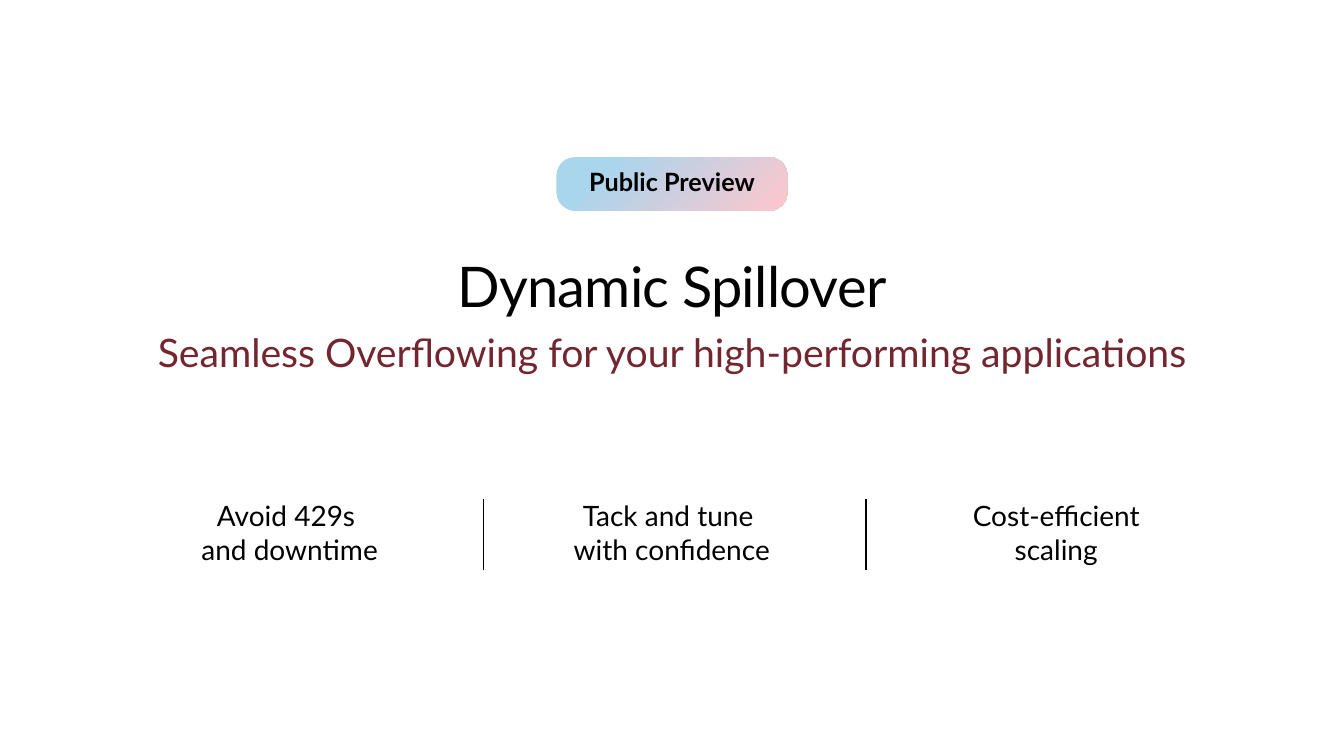
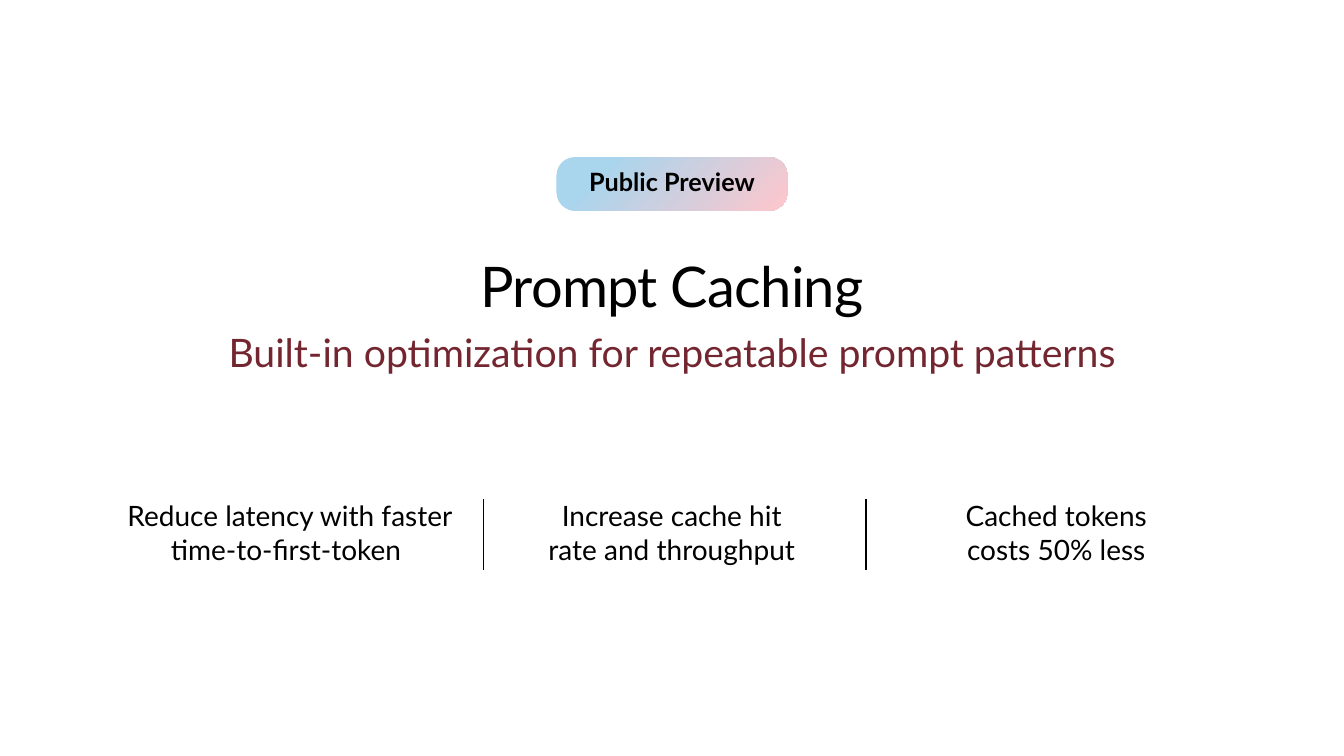
from lxml import etree
from pptx import Presentation
from pptx.dml.color import RGBColor
from pptx.enum.shapes import MSO_CONNECTOR, MSO_SHAPE
from pptx.enum.text import MSO_ANCHOR as Anchor, PP_ALIGN as Align
from pptx.oxml import parse_xml
from pptx.oxml.ns import nsdecls, qn
from pptx.util import Cm, Pt

COLORS = {
    "text": "000000",
    "pink": "FFC6CC",
    "sky": "A9D5ED",
    "wine": "73262F",
    "navy": "2A446F",
}
FONT = "Lato"
SLIDE_WIDTH, SLIDE_HEIGHT = 33.87, 19.05
HEADING_LEFT, HEADING_WIDTH = 1.63, 30.61
BENEFIT_CENTERS = (7.3, 16.93, 26.62)
BENEFIT_TOP, BENEFIT_HEIGHT = 12.57, 1.7
DIVIDER_POSITIONS = (12.19, 21.82)
DIVIDER_HEIGHT = 1.8

STYLES = {
    "title": {"size": Pt(40), "bold": False},
    "subtitle": {"size": Pt(28), "bold": False},
    "badge": {"size": Pt(18), "bold": True},
    "benefit": {"size": Pt(20), "bold": False},
}

SLIDES = [
    {
        "title": "Dynamic Spillover",
        "subtitle": "Seamless Overflowing for your high-performing applications",
        "benefits": [
            ("Avoid 429s \vand downtime", 6.1),
            ("Tack and tune \vwith confidence", 6.38),
            ("Cost-efficient scaling", 6.2),
        ],
    },
    {
        "title": "Prompt Caching",
        "subtitle": "Built-in optimization for repeatable prompt patterns",
        "benefits": [
            ("Reduce latency with faster time-to-first-token ", 8.23),
            ("Increase cache hit rate and throughput", 6.83),
            ("Cached tokens costs 50% less", 6.2),
        ],
    },
]


def set_attributes(target, values):
    """Set each named attribute of the target."""
    for name, value in values.items():
        setattr(target, name, value)


def radial_gradient(inner, outer):
    """Return a gradient fill that spreads from the bottom right corner."""
    return parse_xml(
        f'<a:gradFill {nsdecls("a")} rotWithShape="1"><a:gsLst>'
        f'<a:gs pos="0"><a:srgbClr val="{COLORS[inner]}"/></a:gs>'
        f'<a:gs pos="80000"><a:srgbClr val="{COLORS[outer]}"/></a:gs>'
        '</a:gsLst><a:path path="circle">'
        '<a:fillToRect l="100000" t="100000"/></a:path></a:gradFill>'
    )


def write_text(shape, text, style, anchor=Anchor.TOP, margins=(0, 0, 0, 0)):
    """Write centred text in a shape and return its paragraph."""
    frame = shape.text_frame
    sides = ("margin_left", "margin_top", "margin_right", "margin_bottom")
    set_attributes(frame, dict(zip(sides, map(Cm, margins))))
    set_attributes(frame, {"word_wrap": True, "vertical_anchor": anchor, "text": text})
    paragraph = frame.paragraphs[0]
    paragraph.alignment = Align.CENTER
    for run in paragraph.runs:
        set_attributes(run.font, {"name": FONT, **STYLES[style]})
        run.font.color.rgb = RGBColor.from_string(COLORS["text"])
    return paragraph


def add_title(slide, text):
    """Place and format the title placeholder."""
    title = slide.shapes.title
    position = {"left": HEADING_LEFT, "top": 6.35, "width": HEADING_WIDTH, "height": 1.55}
    set_attributes(title, {name: Cm(value) for name, value in position.items()})
    paragraph = write_text(title, text, "title")
    paragraph.runs[0]._r.get_or_add_rPr().set("spc", "-50")


def add_badge(slide, text):
    """Add the rounded status badge, centred on the slide."""
    width = 5.82
    badge = slide.shapes.add_shape(
        MSO_SHAPE.ROUNDED_RECTANGLE,
        Cm((SLIDE_WIDTH - width) / 2), Cm(3.96), Cm(width), Cm(1.35),
    )
    badge.adjustments[0] = 0.34
    badge.shadow.inherit = False
    badge.line.fill.background()
    properties = badge._element.spPr
    properties.find(qn("a:prstGeom")).addnext(radial_gradient("pink", "sky"))
    write_text(badge, text, "badge", Anchor.MIDDLE, (0.5, 0.1, 0.5, 0.2))


def add_subtitle(slide, text):
    """Add the gradient-coloured line under the title."""
    box = slide.shapes.add_textbox(
        Cm(HEADING_LEFT), Cm(8.28), Cm(HEADING_WIDTH), Cm(1.19)
    )
    run = write_text(box, text, "subtitle").runs[0]
    run.font.fill.background()
    properties = run._r.get_or_add_rPr()
    properties.replace(properties.find(qn("a:noFill")), radial_gradient("wine", "navy"))


def add_benefit(slide, text, center, width):
    """Add one benefit, centred on its column."""
    box = slide.shapes.add_textbox(
        Cm(center - width / 2), Cm(BENEFIT_TOP), Cm(width), Cm(BENEFIT_HEIGHT)
    )
    write_text(box, text, "benefit", Anchor.MIDDLE)


def add_divider(slide, left):
    """Add a thin vertical line between two benefits."""
    divider = slide.shapes.add_connector(
        MSO_CONNECTOR.STRAIGHT,
        Cm(left), Cm(BENEFIT_TOP + DIVIDER_HEIGHT), Cm(left), Cm(BENEFIT_TOP),
    )
    divider.line.width = Pt(1)
    divider.line.color.rgb = RGBColor.from_string(COLORS["text"])
    etree.SubElement(divider._element.spPr, qn("a:effectLst"))


def add_feature_slide(presentation, content):
    """Add a slide that presents one feature and its benefits."""
    slide = presentation.slides.add_slide(presentation.slide_layouts[5])
    add_title(slide, content["title"])
    add_badge(slide, "Public Preview")
    add_subtitle(slide, content["subtitle"])
    for (text, width), center in zip(content["benefits"], BENEFIT_CENTERS):
        add_benefit(slide, text, center, width)
    for left in DIVIDER_POSITIONS:
        add_divider(slide, left)


def main():
    """Build and save the presentation."""
    presentation = Presentation()
    set_attributes(
        presentation,
        {"slide_width": Cm(SLIDE_WIDTH), "slide_height": Cm(SLIDE_HEIGHT)},
    )
    for content in SLIDES:
        add_feature_slide(presentation, content)
    presentation.save("out.pptx")


if __name__ == "__main__":
    main()
